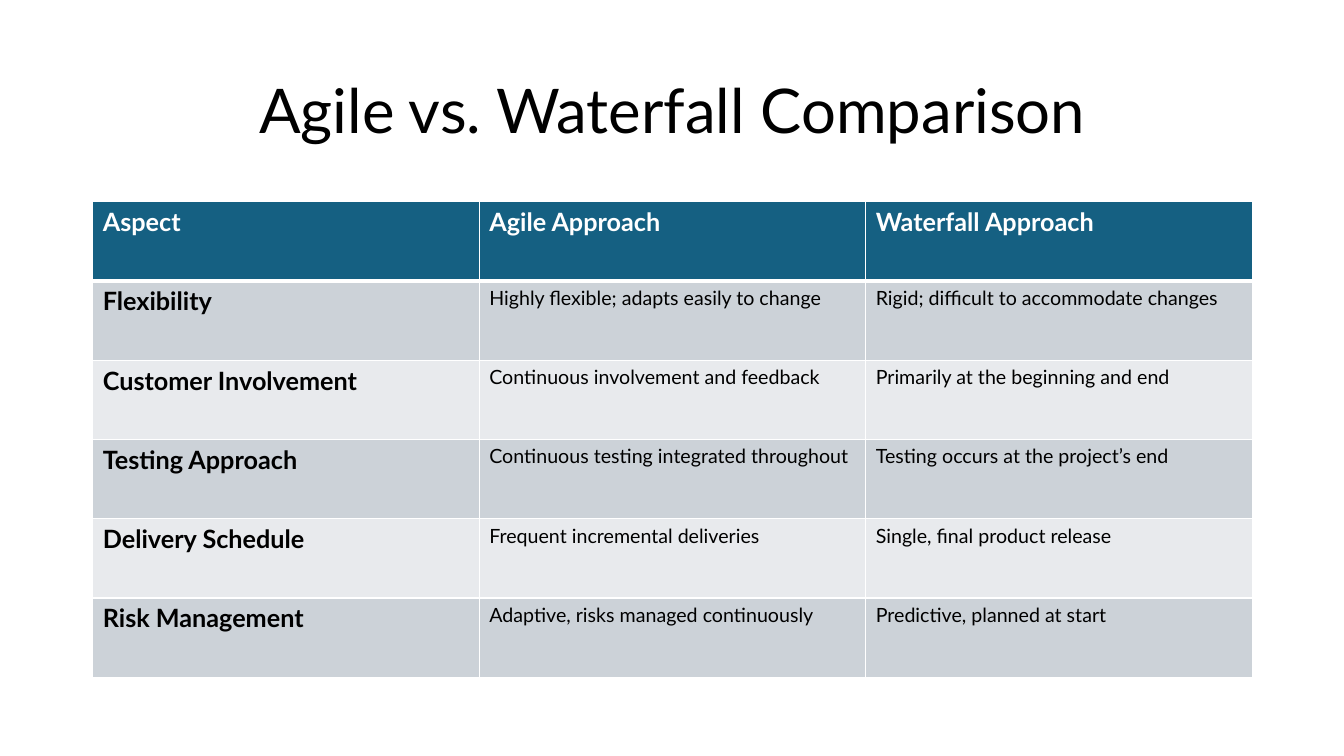
from lxml import etree
from pptx import Presentation
from pptx.dml.color import RGBColor
from pptx.enum import text
from pptx.oxml import ns
from pptx.util import Inches, Pt

FONT = "Lato"
BLACK = RGBColor(0x00, 0x00, 0x00)
WHITE = RGBColor(0xFF, 0xFF, 0xFF)
HEADER_BLUE = RGBColor(0x15, 0x60, 0x82)
BAND_DARK = RGBColor(0xCC, 0xD2, 0xD8)
BAND_LIGHT = RGBColor(0xE8, 0xEA, 0xED)

COMPARISON = [
    ("Aspect", "Agile Approach", "Waterfall Approach"),
    ("Flexibility", "Highly flexible; adapts easily to change",
     "Rigid; difficult to accommodate changes"),
    ("Customer Involvement", "Continuous involvement and feedback",
     "Primarily at the beginning and end"),
    ("Testing Approach", "Continuous testing integrated throughout",
     "Testing occurs at the project’s end"),
    ("Delivery Schedule", "Frequent incremental deliveries",
     "Single, final product release"),
    ("Risk Management", "Adaptive, risks managed continuously",
     "Predictive, planned at start"),
]


def add_run(paragraph, words, size, color, bold=False):
    run = paragraph.add_run()
    run.text = words
    run.font.name = FONT
    run.font.size = Pt(size)
    run.font.bold = bold
    run.font.color.rgb = color


def add_title(slide, left, top, width, height, words):
    box = slide.shapes.add_textbox(left, top, width, height)
    frame = box.text_frame
    frame.word_wrap = True
    frame.vertical_anchor = text.MSO_ANCHOR.MIDDLE
    paragraph = frame.paragraphs[0]
    paragraph.alignment = text.PP_ALIGN.CENTER
    paragraph.line_spacing = 0.9
    add_run(paragraph, words, 44, BLACK)


def set_borders(cell, **widths):
    """Draw white borders; widths maps L, R, T and B to points."""
    properties = cell._tc.get_or_add_tcPr()
    for side, width in widths.items():
        line = etree.SubElement(properties, ns.qn(f"a:ln{side}"), w=str(Pt(width)))
        fill = etree.SubElement(line, ns.qn("a:solidFill"))
        etree.SubElement(fill, ns.qn("a:srgbClr"), val=str(WHITE))


def add_comparison_table(slide, left, top, width, height, rows):
    shape = slide.shapes.add_table(len(rows), len(rows[0]), left, top, width, height)
    table = shape.table
    for row_index, row in enumerate(rows):
        is_header = row_index == 0
        if is_header:
            background = HEADER_BLUE
        else:
            background = BAND_DARK if row_index % 2 else BAND_LIGHT
        for column_index, words in enumerate(row):
            is_heading = is_header or column_index == 0
            cell = table.cell(row_index, column_index)
            # Borders come before the fill in the cell properties.
            set_borders(cell, L=1, R=1, T=3 if row_index == 1 else 1,
                        B=3 if is_header else 1)
            cell.fill.solid()
            cell.fill.fore_color.rgb = background
            add_run(cell.text_frame.paragraphs[0], words,
                    18 if is_heading else 14,
                    WHITE if is_header else BLACK, is_heading)


def main():
    presentation = Presentation()
    presentation.slide_width = Inches(13.33)
    presentation.slide_height = Inches(7.5)
    slide = presentation.slides.add_slide(presentation.slide_layouts[6])
    left, width = Inches(0.92), Inches(11.5)
    add_title(slide, left, Inches(0.4), width, Inches(1.45),
              "Agile vs. Waterfall Comparison")
    add_comparison_table(slide, left, Inches(2), width, Inches(4.72), COMPARISON)
    presentation.save("out.pptx")


if __name__ == "__main__":
    main()
